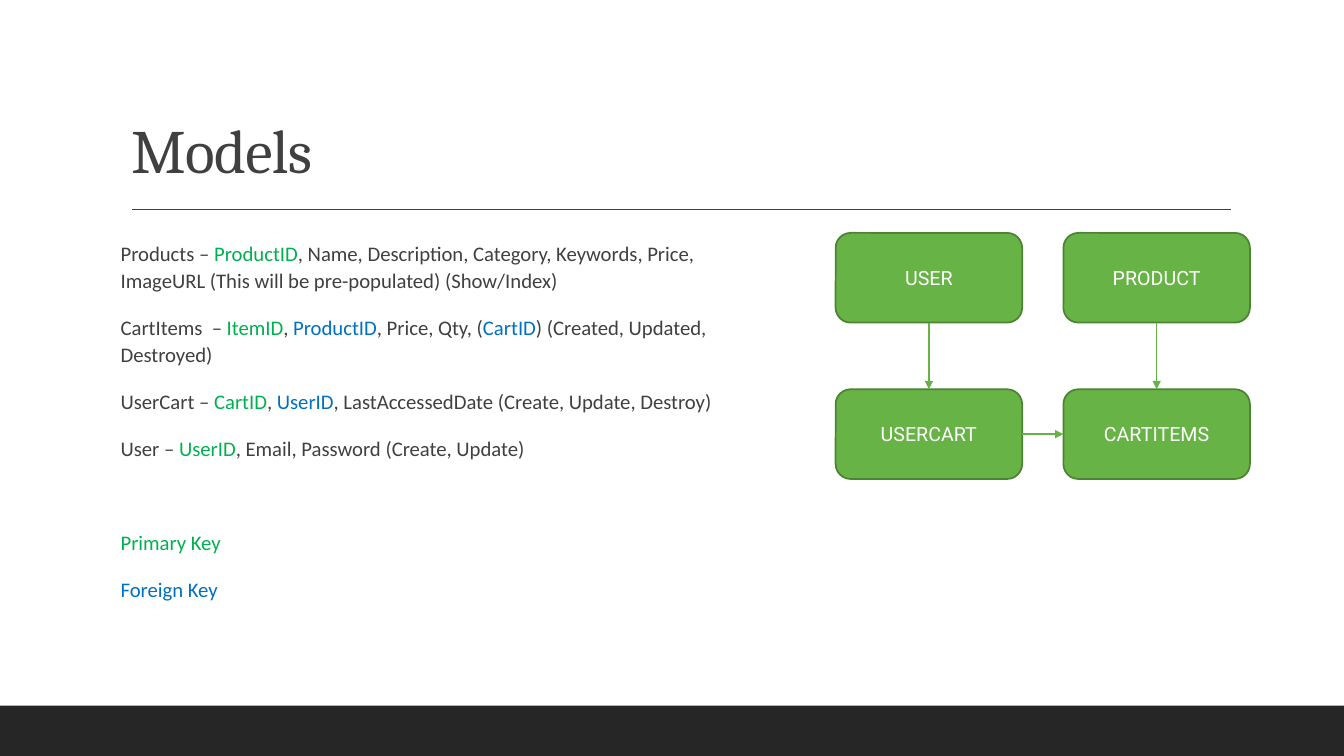
from lxml.etree import SubElement
from pptx import Presentation
from pptx.dml.color import RGBColor
from pptx.enum.shapes import MSO_CONNECTOR, MSO_SHAPE
from pptx.enum.text import MSO_ANCHOR, MSO_AUTO_SIZE, PP_ALIGN
from pptx.oxml.ns import qn
from pptx.util import Cm, Pt

DARK = "404040"
PRIMARY = "00B050"
FOREIGN = "0070C0"
GREEN = "67B346"
BOTTOM_SITE, RIGHT_SITE, TOP_SITE, LEFT_SITE = 2, 3, 0, 1

MODELS = [
    [("Products – ", DARK), ("ProductID", PRIMARY),
     (", Name, Description, Category, Keywords, Price, ImageURL "
      "(This will be pre-populated) (Show/Index)", DARK)],
    [("CartItems  – ", DARK), ("ItemID", PRIMARY), (", ", DARK),
     ("ProductID", FOREIGN), (", Price, Qty, (", DARK), ("CartID", FOREIGN),
     (") (Created, Updated, Destroyed)", DARK)],
    [("UserCart – ", DARK), ("CartID", PRIMARY), (", ", DARK),
     ("UserID", FOREIGN),
     (", LastAccessedDate (Create, Update, Destroy)", DARK)],
    [("User – ", DARK), ("UserID", PRIMARY),
     (", Email, Password (Create, Update)", DARK)],
]
LEGEND = [[("Primary Key", PRIMARY)], [("Foreign Key", FOREIGN)]]


def set_color(color_format, color):
    color_format.rgb = RGBColor.from_string(color)


def set_font(font, name, size, color=None):
    font.name = name
    font.size = Pt(size)
    if color:
        set_color(font.color, color)


def fill_shape(shape, color):
    shape.shadow.inherit = False
    shape.fill.solid()
    set_color(shape.fill.fore_color, color)


def place(shape, left, top, width, height):
    shape.left, shape.top = Cm(left), Cm(top)
    shape.width, shape.height = Cm(width), Cm(height)


def add_footer_bar(slide):
    bar = slide.shapes.add_shape(
        MSO_SHAPE.RECTANGLE, Cm(0), Cm(17.78), Cm(33.87), Cm(1.27))
    fill_shape(bar, "262626")
    bar.line.fill.background()


def add_line(slide, color, start=(0, 0), end=(0, 0)):
    line = slide.shapes.add_connector(
        MSO_CONNECTOR.STRAIGHT, Cm(start[0]), Cm(start[1]), Cm(end[0]), Cm(end[1]))
    set_color(line.line.color, color)
    line.line.width = Pt(1)
    SubElement(line._element.spPr, qn("a:effectLst"))
    return line


def add_arrow(slide, source, source_site, target, target_site):
    arrow = add_line(slide, GREEN)
    arrow.begin_connect(source, source_site)
    arrow.end_connect(target, target_site)
    SubElement(arrow.line._get_or_add_ln(), qn("a:tailEnd"), type="triangle")


def fill_title(title, text):
    place(title, 3.05, 0.79, 27.94, 4.04)
    frame = title.text_frame
    frame.text = text
    frame.auto_size = MSO_AUTO_SIZE.NONE
    frame.vertical_anchor = MSO_ANCHOR.BOTTOM
    paragraph = frame.paragraphs[0]
    paragraph.alignment = PP_ALIGN.LEFT
    paragraph.line_spacing = 0.9
    set_font(paragraph.font, "Cambria", 44, DARK)
    paragraph.runs[0].font._element.set("spc", "-50")


def format_item(paragraph, space_before):
    paragraph.line_spacing = 1.1
    paragraph.space_before = Pt(space_before)
    paragraph.space_after = Pt(2)
    set_font(paragraph.font, "Calibri", 14.8)
    properties = paragraph._element.get_or_add_pPr()
    properties.set("marL", str(Cm(0.25)))
    properties.set("indent", "0")
    properties.insert_element_before(
        properties.makeelement(qn("a:buNone")), "a:tabLst", "a:defRPr", "a:extLst")


def fill_body(body):
    place(body, 2.79, 5.87, 15.9, 10.44)
    frame = body.text_frame
    frame.auto_size = MSO_AUTO_SIZE.NONE
    frame.vertical_anchor = MSO_ANCHOR.TOP
    frame.margin_left = frame.margin_right = 0
    for index, item in enumerate(MODELS + LEGEND):
        paragraph = frame.add_paragraph() if index else frame.paragraphs[0]
        format_item(paragraph, 45.5 if index == len(MODELS) else 12)
        for text, color in item:
            run = paragraph.add_run()
            run.text = text
            set_color(run.font.color, color)


def add_model_box(slide, name, column, row):
    box = slide.shapes.add_shape(
        MSO_SHAPE.ROUNDED_RECTANGLE, Cm(21.06 + 5.74 * column),
        Cm(5.87 + 3.94 * row), Cm(4.7), Cm(2.26))
    fill_shape(box, GREEN)
    set_color(box.line.color, "4C8434")
    box.line.width = Pt(1.25)
    frame = box.text_frame
    frame.text = name
    frame.vertical_anchor = MSO_ANCHOR.MIDDLE
    paragraph = frame.paragraphs[0]
    paragraph.alignment = PP_ALIGN.CENTER
    set_font(paragraph.font, "Roboto", 14, "FFFFFF")
    return box


def add_diagram(slide):
    user = add_model_box(slide, "USER", 0, 0)
    product = add_model_box(slide, "PRODUCT", 1, 0)
    user_cart = add_model_box(slide, "USERCART", 0, 1)
    cart_items = add_model_box(slide, "CARTITEMS", 1, 1)
    add_arrow(slide, product, BOTTOM_SITE, cart_items, TOP_SITE)
    add_arrow(slide, user, BOTTOM_SITE, user_cart, TOP_SITE)
    add_arrow(slide, user_cart, RIGHT_SITE, cart_items, LEFT_SITE)


def main():
    presentation = Presentation()
    presentation.slide_width = Cm(33.87)
    presentation.slide_height = Cm(19.05)
    slide = presentation.slides.add_slide(presentation.slide_layouts[1])
    add_footer_bar(slide)
    add_line(slide, DARK, (3.33, 5.28), (31.01, 5.28))
    fill_title(slide.shapes.title, "Models")
    fill_body(slide.placeholders[1])
    add_diagram(slide)
    presentation.save("out.pptx")


main()
